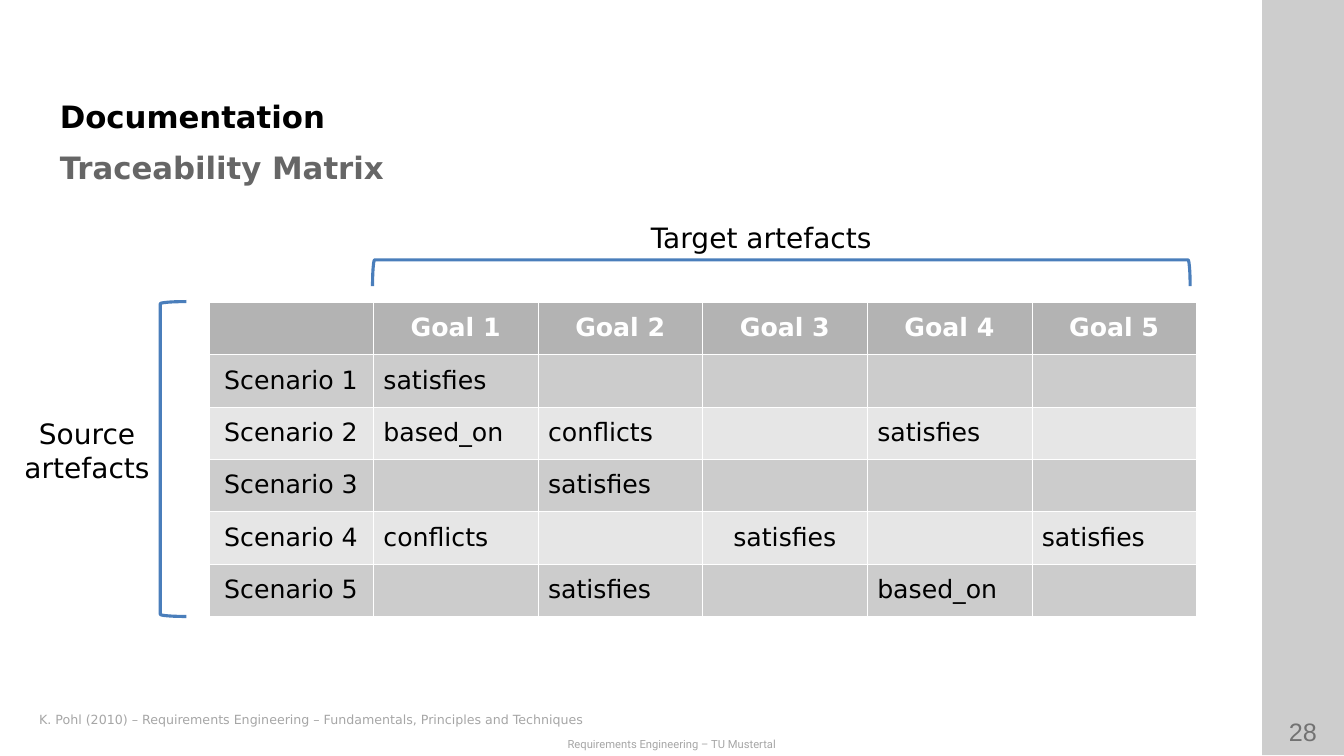
from lxml import etree
from pptx import Presentation
from pptx.dml.color import RGBColor
from pptx.enum.shapes import MSO_SHAPE
from pptx.enum.text import MSO_ANCHOR, MSO_AUTO_SIZE, PP_ALIGN
from pptx.oxml.ns import qn
from pptx.util import Inches, Pt

LEFT, CENTER = PP_ALIGN.LEFT, PP_ALIGN.CENTER
TOP, MIDDLE, BOTTOM = MSO_ANCHOR.TOP, MSO_ANCHOR.MIDDLE, MSO_ANCHOR.BOTTOM
NO_FIT = MSO_AUTO_SIZE.NONE
RECTANGLE, BRACKET = MSO_SHAPE.RECTANGLE, MSO_SHAPE.LEFT_BRACKET
TITLE_ONLY = 5

COLORS = {
    "black": "000000", "white": "FFFFFF", "subtitle": "666666",
    "note": "A6A6A6", "number": "808080",
    "header": "B3B3B3", "odd": "CCCCCC", "even": "E6E6E6", "bracket": "4A7EBB",
}
FONT = "DejaVu Sans"


def color(name):
    return RGBColor.from_string(COLORS[name])


def write_text(frame, text, size=18, ink="black", font=FONT, bold=False,
               align=LEFT, anchor=TOP):
    frame.word_wrap = True
    frame.vertical_anchor = anchor
    para = frame.paragraphs[0]
    para.alignment = align
    span = para.add_run()
    span.text = text
    span.font.size = Pt(size)
    span.font.name = font
    span.font.bold = bold
    span.font.color.rgb = color(ink)


class SlideBuilder:
    """Places elements by (left, top, width, height) in percent of the slide."""

    def __init__(self, deck):
        self.deck = deck
        self.page = deck.slides.add_slide(deck.slide_layouts[TITLE_ONLY])

    def area(self, left, top, width, height):
        wide, high = self.deck.slide_width, self.deck.slide_height
        return [int(share * side / 100) for share, side in
                ((left, wide), (top, high), (width, wide), (height, high))]

    def heading(self, box, area, text, **style):
        box.left, box.top, box.width, box.height = self.area(*area)
        frame = box.text_frame
        frame.auto_size = NO_FIT
        frame.margin_left = frame.margin_right = 0
        frame.margin_top = frame.margin_bottom = 0
        write_text(frame, text, size=22, bold=True, **style)

    def title(self, area, text):
        self.heading(self.page.shapes.title, area, text, anchor=BOTTOM)

    def subtitle(self, area, text):
        box = self.page.shapes.add_textbox(0, 0, 0, 0)
        self.heading(box, area, text, ink="subtitle", anchor=MIDDLE)

    def label(self, area, text, **style):
        box = self.page.shapes.add_textbox(*self.area(*area))
        write_text(box.text_frame, text, **style)

    def panel(self, area, fill, opacity):
        shape = self.page.shapes.add_shape(RECTANGLE, *self.area(*area))
        shape.shadow.inherit = False
        shape.fill.solid()
        shape.fill.fore_color.rgb = color(fill)
        shape.line.fill.background()
        paint = shape._element.spPr.find(f"{qn('a:solidFill')}/{qn('a:srgbClr')}")
        etree.SubElement(paint, qn("a:alpha"), val=str(opacity * 1000))

    def bracket(self, area, turned=False):
        left, top, width, height = self.area(*area)
        if turned:  # swap the sides around the same centre
            left += (width - height) // 2
            top += (height - width) // 2
            width, height = height, width
        shape = self.page.shapes.add_shape(BRACKET, left, top, width, height)
        shape.rotation = 90 if turned else 0
        shape.adjustments[0] = 0.08
        shape.shadow.inherit = False
        shape.fill.background()
        shape.line.color.rgb = color("bracket")
        shape.line.width = Pt(2.25)

    def cell_style(self, cell, fill):
        properties = cell._tc.get_or_add_tcPr()
        for side in ("lnL", "lnR", "lnT", "lnB"):
            border = etree.SubElement(properties, qn(f"a:{side}"), w=str(Pt(0.06)))
            paint = etree.SubElement(border, qn("a:solidFill"))
            etree.SubElement(paint, qn("a:srgbClr"), val=COLORS["white"])
        cell.fill.solid()
        cell.fill.fore_color.rgb = color(fill)

    def matrix(self, area, rows, centered):
        table = self.page.shapes.add_table(
            len(rows), len(rows[0]), *self.area(*area)).table
        for row, texts in enumerate(rows):
            head = row == 0
            fill = "header" if head else "odd" if row % 2 else "even"
            for column, text in enumerate(texts):
                cell = table.cell(row, column)
                self.cell_style(cell, fill)
                if not text:
                    continue
                middle = head or column == 0 or (row, column) in centered
                write_text(cell.text_frame, text, bold=head,
                           ink="white" if head else "black",
                           align=CENTER if middle else LEFT)
                cell.vertical_anchor = MIDDLE


deck = Presentation()
deck.slide_width, deck.slide_height = Inches(13.33), Inches(7.5)
slide = SlideBuilder(deck)

# Side bar in two translucent layers, page number between them, and footer
SIDEBAR = (93.9, 0, 6.1, 99.9)
slide.panel(SIDEBAR, "black", opacity=10)
slide.label((93.83, 94.13, 6.22, 5.33), "28", font="Arial", ink="number",
            align=CENTER)
slide.panel(SIDEBAR, "black", opacity=10)
slide.label((0, 96.93, 100, 3.07), "Requirements Engineering – TU Mustertal",
            size=8, font="Roboto", ink="note", align=CENTER)

# Headings and reference
slide.title((4.45, 10.63, 85, 7.2), "Documentation")
slide.subtitle((4.45, 18.53, 85, 7.2), "Traceability Matrix")
slide.label((2.18, 93.47, 89.55, 3.33),
            "K. Pohl (2010) – Requirements Engineering – "
            "Fundamentals, Principles and Techniques", size=9, ink="note")

# Traceability matrix: links keyed by (scenario, goal)
COUNT = 5
LINKS = {
    (1, 1): "satisfies", (2, 1): "based_on", (2, 2): "conflicts",
    (2, 4): "satisfies", (3, 2): "satisfies", (4, 1): "conflicts",
    (4, 3): "satisfies", (4, 5): "satisfies", (5, 2): "satisfies",
    (5, 4): "based_on",
}
numbers = range(1, COUNT + 1)
rows = [[""] + [f"Goal {goal}" for goal in numbers]]
for scenario in numbers:
    rows.append([f"Scenario {scenario}"]
                + [LINKS.get((scenario, goal), "") for goal in numbers])
MATRIX_TOP, MATRIX_HEIGHT = 39.9, 41.65
slide.matrix((15.53, MATRIX_TOP, 73.5, MATRIX_HEIGHT), rows, centered={(4, 3)})

# Brackets and axis labels
slide.bracket((11.93, MATRIX_TOP, 1.95, MATRIX_HEIGHT))
slide.bracket((27.72, 34.37, 60.83, 3.47), turned=True)
slide.label((47.68, 28.53, 18.45, 5.73), "Target artefacts", size=20)
slide.label((0, 54.48, 12.95, 10.13), "Source artefacts", size=20, align=CENTER)

deck.save("out.pptx")
